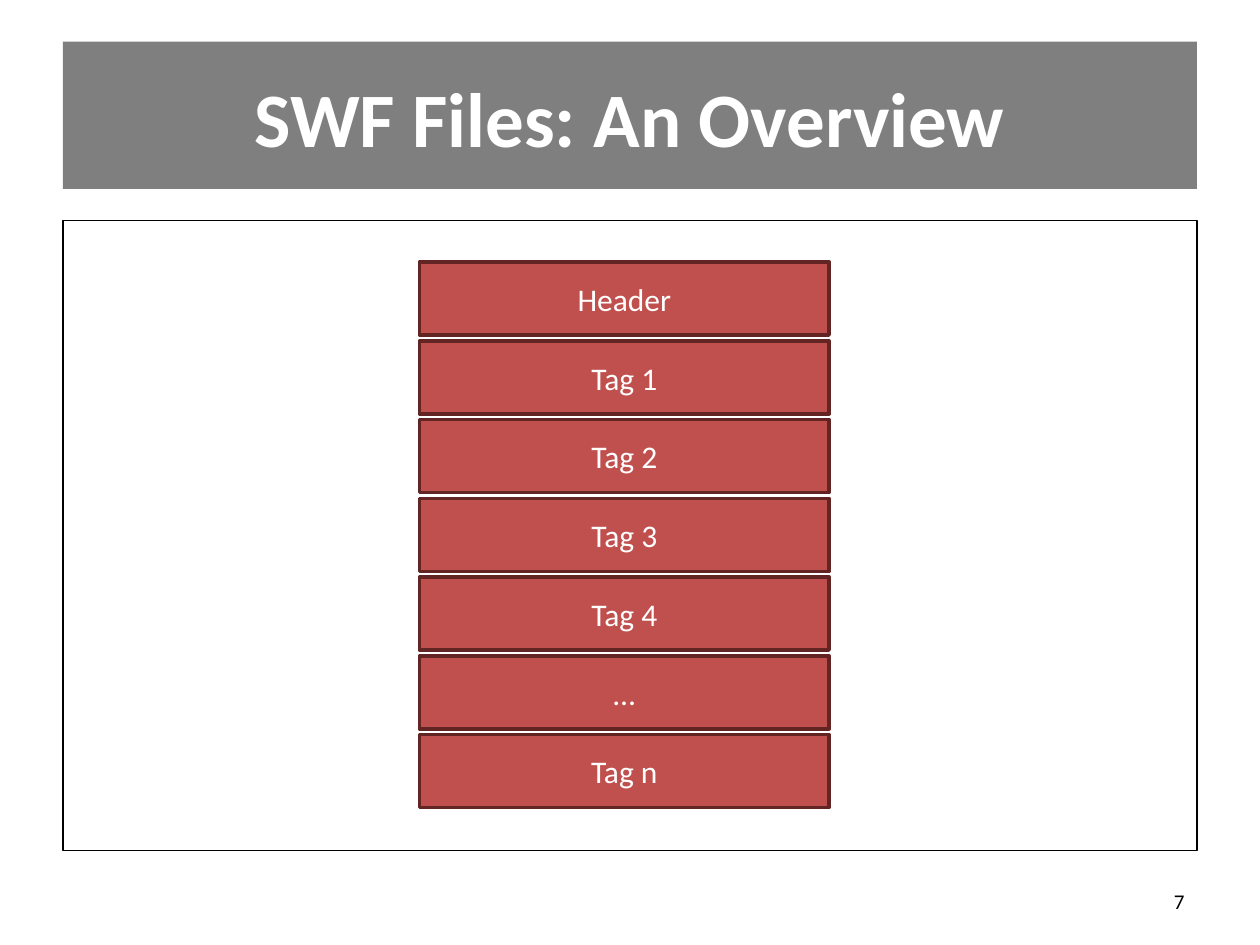
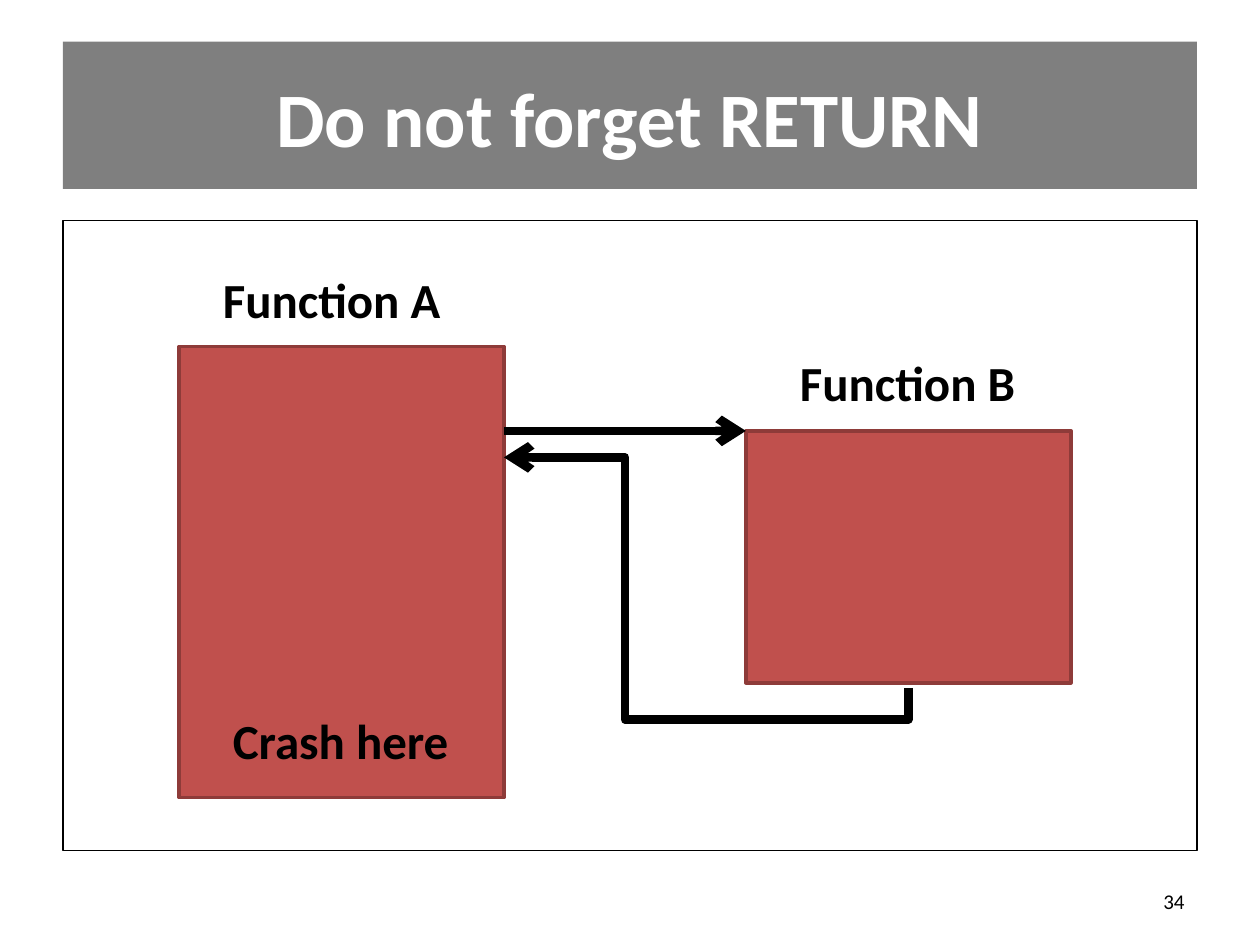
from lxml import etree
from pptx import Presentation
from pptx.dml.color import RGBColor
from pptx.enum.shapes import MSO_CONNECTOR, MSO_SHAPE
from pptx.enum.text import MSO_ANCHOR, MSO_AUTO_SIZE, PP_ALIGN
from pptx.oxml.ns import qn
from pptx.util import Inches, Pt

RECTANGLE = MSO_SHAPE.RECTANGLE
STRAIGHT, ELBOW = MSO_CONNECTOR.STRAIGHT, MSO_CONNECTOR.ELBOW
LEFT, CENTER, RIGHT = PP_ALIGN.LEFT, PP_ALIGN.CENTER, PP_ALIGN.RIGHT
TOP, MIDDLE = MSO_ANCHOR.TOP, MSO_ANCHOR.MIDDLE
FIT_SHAPE = MSO_AUTO_SIZE.SHAPE_TO_FIT_TEXT

BLACK = RGBColor(0x00, 0x00, 0x00)
WHITE = RGBColor(0xFF, 0xFF, 0xFF)
RED = RGBColor(0xC0, 0x50, 0x4D)
BLOCK_EDGE = RGBColor(0x63, 0x25, 0x23)
FUNCTION_EDGE = RGBColor(0x8E, 0x3B, 0x39)
FONT = "Calibri"
MARGIN, CONTENT_WIDTH = 0.5, 9

FILE_BLOCKS = ["Header", "Tag 1", "Tag 2", "Tag 3", "Tag 4", "…", "Tag n"]
STACK_TOP, STACK_LAST = 2.08, 5.83


def write(box, text, size, color, align=LEFT, anchor=TOP, bold=False):
    box.text_frame.vertical_anchor = anchor
    para = box.text_frame.paragraphs[0]
    para.alignment = align
    span = para.add_run()
    span.text = text
    span.font.name = FONT
    span.font.size = Pt(size)
    span.font.bold = bold
    span.font.color.rgb = color


def add_rectangle(page, left, top, width, height, fill=None, edge=None, weight=2):
    box = page.shapes.add_shape(
        RECTANGLE, Inches(left), Inches(top), Inches(width), Inches(height))
    box.shadow.inherit = False
    if fill is None:
        box.fill.background()
    else:
        box.fill.solid()
        box.fill.fore_color.rgb = fill
    if edge is None:
        box.line.fill.background()
    else:
        box.line.color.rgb = edge
        box.line.width = Pt(weight)
    return box


def add_text(page, left, top, width, height, text, size, color, **style):
    box = page.shapes.add_textbox(
        Inches(left), Inches(top), Inches(width), Inches(height))
    box.text_frame.word_wrap = True
    write(box, text, size, color, **style)
    return box


def add_label(page, left, top, width, text):
    box = add_text(page, left, top, width, 0.57, text, 28, BLACK, bold=True)
    box.text_frame.word_wrap = False
    box.text_frame.auto_size = FIT_SHAPE


def add_arrow(page, kind, start, end):
    arrow = page.shapes.add_connector(
        kind, *[Inches(value) for value in (*start, *end)])
    arrow.line.color.rgb = BLACK
    arrow.line.width = Pt(5)
    line = arrow.line._get_or_add_ln()
    etree.SubElement(line, qn("a:tailEnd"), type="arrow")
    etree.SubElement(arrow._element.spPr, qn("a:effectLst"))
    return arrow


def route_around(arrow, rotation, bends):
    properties = arrow._element.spPr
    properties.find(qn("a:xfrm")).set("rot", str(rotation * 60000))
    geometry = properties.find(qn("a:prstGeom"))
    geometry.set("prst", "bentConnector4")
    guides = geometry.find(qn("a:avLst"))
    for number, bend in enumerate(bends, 1):
        etree.SubElement(guides, qn("a:gd"), name=f"adj{number}",
                         fmla=f"val {round(bend * 100000)}")


def add_page(deck, title, number):
    page = deck.slides.add_slide(deck.slide_layouts[6])
    band = add_rectangle(page, MARGIN, 0.33, CONTENT_WIDTH, 1.17, fill=BLACK)
    band_color = band._element.spPr.find(qn("a:solidFill"))[0]
    etree.SubElement(band_color, qn("a:alpha"), val="50000")
    add_rectangle(page, MARGIN, 1.75, CONTENT_WIDTH, 5, edge=BLACK, weight=1)
    add_text(page, MARGIN, 0.3, CONTENT_WIDTH, 1.25, title, 44, WHITE,
             align=CENTER, anchor=MIDDLE, bold=True)
    add_text(page, 7.17, 6.95, 2.33, 0.4, str(number), 12, BLACK,
             align=RIGHT, anchor=MIDDLE)
    return page


def add_file_overview(deck):
    page = add_page(deck, "SWF Files: An Overview", 7)
    pitch = (STACK_LAST - STACK_TOP) / (len(FILE_BLOCKS) - 1)
    for index, name in enumerate(FILE_BLOCKS):
        block = add_rectangle(page, 3.33, STACK_TOP + index * pitch, 3.25, 0.58,
                              fill=RED, edge=BLOCK_EDGE)
        write(block, name, 18, WHITE, align=CENTER, anchor=MIDDLE)


def add_return_flow(deck):
    page = add_page(deck, "Do not forget RETURN", 34)
    for left, top, height in [(1.42, 2.75, 3.58), (5.92, 3.42, 2)]:
        add_rectangle(page, left, top, 2.58, height, fill=RED, edge=FUNCTION_EDGE)
    add_label(page, 1.67, 2.09, 1.95, "Function A")
    add_label(page, 6.25, 2.75, 1.95, "Function B")
    add_arrow(page, STRAIGHT, (4, 3.42), (5.92, 3.42))
    return_arrow = add_arrow(page, ELBOW, (6.52, 2.94), (4.69, 6.15))
    route_around(return_arrow, 90, [-0.136, 0.701])
    add_label(page, 1.75, 5.59, 1.93, "Crash here")


def main():
    deck = Presentation()
    deck.slide_width = Inches(10)
    deck.slide_height = Inches(7.5)
    add_file_overview(deck)
    add_return_flow(deck)
    deck.save("out.pptx")


if __name__ == "__main__":
    main()
